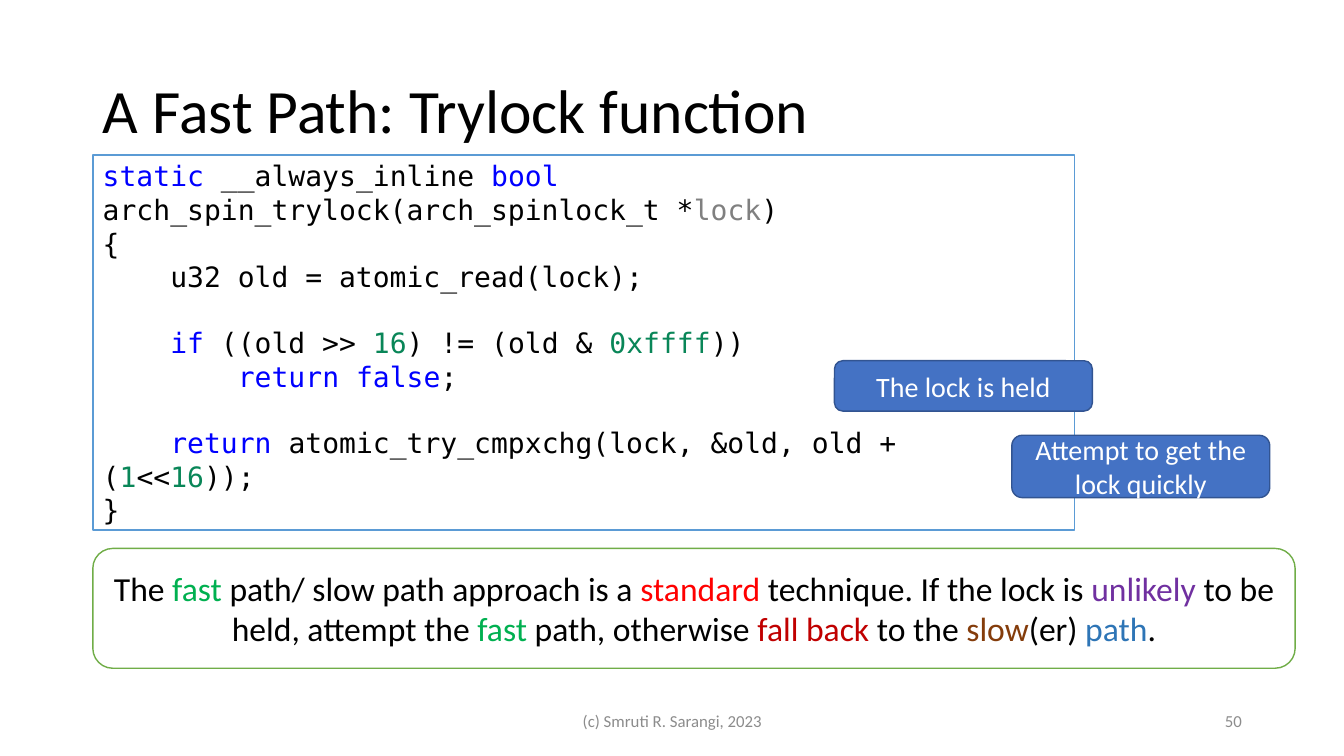
from pptx import Presentation
from pptx.dml.color import RGBColor
from pptx.enum.shapes import MSO_SHAPE
from pptx.enum.text import MSO_ANCHOR, MSO_AUTO_SIZE, PP_ALIGN
from pptx.util import Cm, Pt

RECT, ROUND = MSO_SHAPE.RECTANGLE, MSO_SHAPE.ROUNDED_RECTANGLE
LEFT, MID, RIGHT = PP_ALIGN.LEFT, PP_ALIGN.CENTER, PP_ALIGN.RIGHT
HUES = {
    "black": "000000", "white": "FFFFFF", "gray": "8C8C8C",
    "key": "0000FF", "arg": "808080", "num": "098658",
    "sky": "5B9BD5", "blue": "4472C4", "navy": "325491", "leaf": "70AD47",
    "green": "00B050", "red": "FF0000", "plum": "7030A0",
    "wine": "C00000", "brown": "843C0B", "sea": "2E75B6",
}
FRAME = {"word_wrap": True, "auto_size": MSO_AUTO_SIZE.NONE,
         "vertical_anchor": MSO_ANCHOR.MIDDLE}
FONTS = {
    "title": {"name": "Calibri", "size": Pt(44)},
    "code": {"name": "DejaVu Sans Mono", "size": Pt(20)},
    "call": {"name": "Calibri", "size": Pt(20)},
    "note": {"name": "Calibri", "size": Pt(24)},
    "foot": {"name": "Calibri", "size": Pt(12)},
}
GAP = Pt(23.28)
CODE = [
    (False, [("static", "key"), (" __always_inline ", "black"), ("bool ", "key"),
             ("arch_spin_trylock(arch_spinlock_t *", "black"),
             ("lock", "arg"), (")", "black")]),
    (False, [("{", "black")]),
    (False, [("    u32 old = atomic_read(lock);", "black")]),
    (True, [("    ", "black"), ("if", "key"), (" ((old >> ", "black"), ("16", "num"),
            (") != (old & ", "black"), ("0xffff", "num"), ("))", "black")]),
    (False, [("        ", "black"), ("return false", "key"), (";", "black")]),
    (True, [("    ", "black"), ("return ", "key"),
            ("atomic_try_cmpxchg(lock, &old, old + (", "black"), ("1", "num"),
            ("<<", "black"), ("16", "num"), ("));", "black")]),
    (False, [("}", "black")]),
]
NOTE = [
    ("The ", "black"), ("fast", "green"), (" path/ slow path approach is a ", "black"),
    ("standard", "red"), (" technique. If the lock is ", "black"),
    ("unlikely", "plum"), (" to be held, attempt the ", "black"), ("fast", "green"),
    (" path, otherwise ", "black"), ("fall back ", "wine"), ("to the ", "black"),
    ("slow", "brown"), ("(er) ", "black"), ("path", "sea"), (".", "black"),
]


def hue(name):
    return RGBColor.from_string(HUES[name])


def apply(item, values):
    for key, value in values.items():
        setattr(item, key, value)


def place(shape, box):
    apply(shape, dict(zip(("left", "top", "width", "height"), map(Cm, box))))


def write(frame, rows, style, align):
    apply(frame, FRAME)
    for i, (gap, runs) in enumerate(rows):
        para = frame.add_paragraph() if i else frame.paragraphs[0]
        para.alignment = align
        if gap:
            para.space_before = GAP
        for text, tint in runs:
            run = para.add_run()
            run.text = text
            apply(run.font, FONTS[style])
            run.font.color.rgb = hue(tint)


def panel(slide, kind, box, fill, line):
    shape = slide.shapes.add_shape(kind, *map(Cm, box))
    shape.shadow.inherit = False
    shape.fill.solid()
    shape.fill.fore_color.rgb = hue(fill)
    shape.line.color.rgb = hue(line)
    shape.line.width = Pt(1)
    return shape.text_frame


def head(slide, box, text):
    title = slide.shapes.title
    place(title, box)
    write(title.text_frame, [(False, [(text, "black")])], "title", LEFT)
    title.text_frame.paragraphs[0].line_spacing = 0.9


def code(slide, box):
    frame = panel(slide, RECT, box, "white", "sky")
    frame.margin_right = Cm(1)
    write(frame, CODE, "code", LEFT)


def call(slide, box, text):
    frame = panel(slide, ROUND, box, "blue", "navy")
    write(frame, [(False, [(text, "white")])], "call", MID)


def note(slide, box):
    frame = panel(slide, ROUND, box, "white", "leaf")
    write(frame, [(False, NOTE)], "note", MID)


def foot(slide, box):
    left, top, width, height = box
    for text, x, wide, align in (
        ("(c) Smruti R. Sarangi, 2023", left, 11.43, MID),
        ("50", left + width - 7.62, 7.62, RIGHT),
    ):
        part = slide.shapes.add_textbox(*map(Cm, (x, top, wide, height)))
        write(part.text_frame, [(False, [(text, "gray")])], "foot", align)


def main():
    deck = Presentation()
    deck.slide_width, deck.slide_height = Cm(33.87), Cm(19.05)
    slide = deck.slides.add_slide(deck.slide_layouts[5])
    head(slide, (2.34, 1.02, 29.21, 3.68), "A Fast Path: Trylock function")
    foot(slide, (11.23, 17.65, 20.32, 1.02))
    code(slide, (2.34, 3.91, 24.74, 9.45))
    call(slide, (21.03, 9.09, 6.5, 1.27), "The lock is held")
    call(slide, (25.5, 10.97, 6.5, 1.57), "Attempt to get the lock quickly")
    note(slide, (2.34, 13.82, 30.3, 3.02))
    deck.save("out.pptx")


if __name__ == "__main__":
    main()
